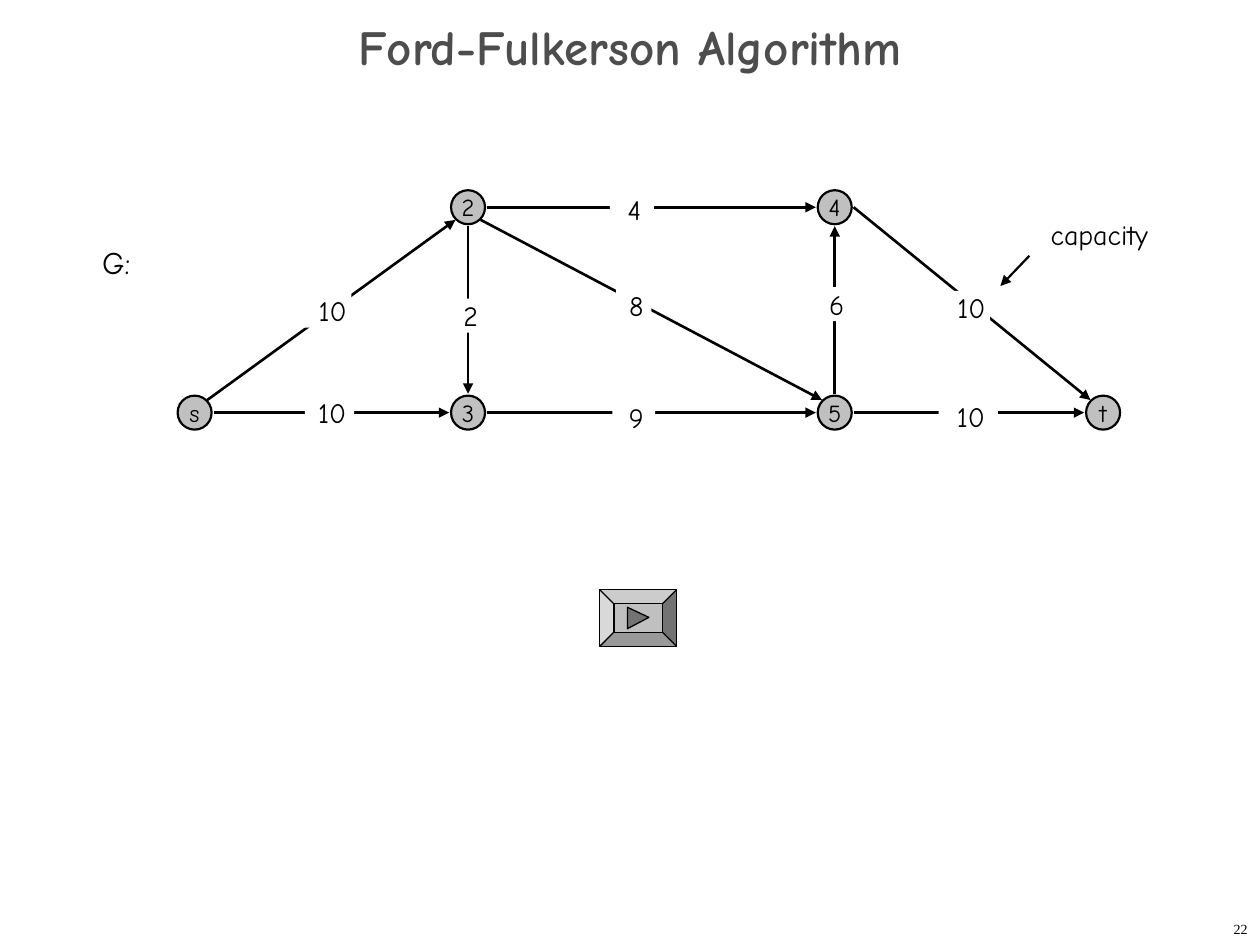
from dataclasses import dataclass
from typing import NamedTuple

from lxml.etree import SubElement
from pptx import Presentation
from pptx.dml.color import RGBColor
from pptx.enum.shapes import MSO_CONNECTOR, MSO_SHAPE
from pptx.enum.text import MSO_ANCHOR, MSO_AUTO_SIZE, PP_ALIGN
from pptx.oxml.ns import qn
from pptx.util import Inches, Pt


@dataclass(frozen=True)
class Theme:
    """Colours, fonts and sizes of the slide."""
    ink: RGBColor = RGBColor(0, 0, 0)
    paper: RGBColor = RGBColor(255, 255, 255)
    heading: RGBColor = RGBColor(0x4D, 0x4D, 0x4D)
    node: RGBColor = RGBColor(0xC0, 0xC0, 0xC0)
    symbol: RGBColor = RGBColor(0x73, 0x73, 0x73)
    hand: str = "Comic Neue"
    serif: str = "Times New Roman"
    title_size: float = 28
    graph_size: float = 18
    label_size: float = 16
    node_size: float = 14
    number_size: float = 8
    edge_width: float = 1.5
    outline_width: float = 1.25
    button_width: float = 0.75


class Node(NamedTuple):
    name: str
    left: float
    top: float


class Port(NamedTuple):
    """Offset from a node's centre where an edge attaches."""
    dx: float
    dy: float


class Edge(NamedTuple):
    source: str
    exit: Port
    target: str
    entry: Port


class Label(NamedTuple):
    text: str
    left: float
    top: float
    width: float
    indent: float = 0.04


THEME = Theme()
DIAMETER = 0.27
LABEL_HEIGHT = 0.27
REACH, DIAGONAL = 0.15, 0.1
EAST, WEST = Port(REACH, 0), Port(-REACH, 0)
NORTH, SOUTH = Port(0, -REACH), Port(0, REACH)
NORTHEAST, SOUTHEAST = Port(DIAGONAL, -DIAGONAL), Port(DIAGONAL, DIAGONAL)
NORTHWEST, SOUTHWEST = Port(-DIAGONAL, -DIAGONAL), Port(-DIAGONAL, DIAGONAL)
UPPER, LOWER = 1.51, 3.14

NODES = [
    Node("s", 1.41, LOWER),
    Node("2", 3.58, UPPER),
    Node("3", 3.58, LOWER),
    Node("4", 6.49, UPPER),
    Node("5", 6.49, LOWER),
    Node("t", 8.62, LOWER),
]
EDGES = [
    Edge("s", NORTHEAST, "2", SOUTHWEST),
    Edge("s", EAST, "3", WEST),
    Edge("3", EAST, "5", WEST),
    Edge("2", EAST, "4", WEST),
    Edge("2", SOUTH, "3", NORTH),
    Edge("5", NORTH, "4", SOUTH),
    Edge("2", SOUTHEAST, "5", NORTHWEST),
    Edge("4", EAST, "t", NORTHWEST),
    Edge("5", EAST, "t", WEST),
]
CAPACITIES = [
    Label("10", 2.42, 3.14, 0.39),
    Label("10", 2.33, 2.33, 0.46, 0.16),
    Label("9", 4.86, 3.18, 0.34),
    Label("8", 4.89, 2.29, 0.28),
    Label("4", 4.84, 1.53, 0.35),
    Label("10", 7.45, 3.17, 0.47),
    Label("10", 7.4, 2.31, 0.46, 0.16),
    Label("6", 6.39, 2.28, 0.46),
    Label("2", 3.48, 2.37, 0.47),
]


def write(frame, text: str, size: float, font: str = THEME.hand,
          align: PP_ALIGN = PP_ALIGN.CENTER, color: RGBColor = THEME.ink,
          bold: bool = False) -> None:
    """Add one formatted run to the first paragraph of a frame."""
    paragraph = frame.paragraphs[0]
    paragraph.alignment = align
    run = paragraph.add_run()
    run.text = text
    run.font.name, run.font.size, run.font.bold = font, Pt(size), bold
    run.font.color.rgb = color


def add_solid(slide, kind: MSO_SHAPE, left: float, top: float, width: float,
              height: float, fill: RGBColor, outline: float = 0):
    """Draw a filled preset shape, outlined when a width is given."""
    solid = slide.shapes.add_shape(
        kind, Inches(left), Inches(top), Inches(width), Inches(height))
    solid.shadow.inherit = False
    paint(solid, fill, outline)
    return solid


def paint(solid, fill: RGBColor, outline: float) -> None:
    """Set the fill and outline of a shape."""
    solid.fill.solid()
    solid.fill.fore_color.rgb = fill
    if outline:
        solid.line.color.rgb = THEME.ink
        solid.line.width = Pt(outline)
    else:
        solid.line.fill.background()


def add_arrow(slide, x1: float, y1: float, x2: float, y2: float, width: float) -> None:
    """Draw a straight arrow between two points."""
    arrow = slide.shapes.add_connector(
        MSO_CONNECTOR.STRAIGHT, Inches(x1), Inches(y1), Inches(x2), Inches(y2))
    arrow.line.color.rgb = THEME.ink
    arrow.line.width = Pt(width)
    SubElement(arrow.line._get_or_add_ln(), qn("a:tailEnd"), type="triangle")
    SubElement(arrow._element.spPr, qn("a:effectLst"))


def add_node(slide, node: Node) -> None:
    """Draw a named vertex of the graph."""
    circle = add_solid(slide, MSO_SHAPE.OVAL, node.left, node.top, DIAMETER,
                       DIAMETER, THEME.node, THEME.outline_width)
    circle.text_frame.word_wrap = False
    write(circle.text_frame, node.name, THEME.node_size)


def add_edge(slide, edge: Edge, centres: dict[str, tuple[float, float]]) -> None:
    """Draw a directed edge between the ports of two nodes."""
    (x1, y1), (x2, y2) = centres[edge.source], centres[edge.target]
    add_arrow(slide, x1 + edge.exit.dx, y1 + edge.exit.dy,
              x2 + edge.entry.dx, y2 + edge.entry.dy, THEME.edge_width)


def add_label(slide, label: Label, height: float = LABEL_HEIGHT,
              size: float = THEME.label_size, align: PP_ALIGN = PP_ALIGN.CENTER) -> None:
    """Write a label on a patch that interrupts the edge below it."""
    patch = add_solid(slide, MSO_SHAPE.RECTANGLE, label.left, label.top,
                      label.width, height, THEME.paper)
    frame = patch.text_frame
    frame.margin_left = Inches(label.indent)
    frame.margin_right = frame.margin_top = frame.margin_bottom = 0
    frame.vertical_anchor = MSO_ANCHOR.TOP
    frame.word_wrap = True
    frame.auto_size = MSO_AUTO_SIZE.SHAPE_TO_FIT_TEXT
    write(frame, label.text, size, align=align)


def add_note(slide, left: float, top: float, width: float, height: float):
    """Add a wrapping text box and return its frame."""
    note = slide.shapes.add_textbox(
        Inches(left), Inches(top), Inches(width), Inches(height))
    note.text_frame.word_wrap = True
    return note.text_frame


def add_play_button(slide) -> None:
    """Draw a bevelled button with a forward symbol."""
    bevel = add_solid(slide, MSO_SHAPE.BEVEL, 4.76, 4.68, 0.61, 0.45,
                      THEME.node, THEME.button_width)
    bevel.adjustments[0] = 0.25
    outline = slide.shapes.build_freeform(Inches(4.98), Inches(4.82))
    outline.add_line_segments([(Inches(5.15), Inches(4.9)), (Inches(4.98), Inches(4.99))])
    forward = outline.convert_to_shape()
    forward.shadow.inherit = False
    paint(forward, THEME.symbol, THEME.button_width)


def main() -> None:
    """Build the slide and save it."""
    deck = Presentation()
    deck.slide_width, deck.slide_height = Inches(10), Inches(7.5)
    slide = deck.slides.add_slide(deck.slide_layouts[5])

    title = slide.shapes.title
    title.left, title.top = Inches(0), Inches(0.17)
    title.width, title.height = Inches(10), Inches(0.5)
    title.text_frame.vertical_anchor = MSO_ANCHOR.MIDDLE
    title.text_frame.auto_size = MSO_AUTO_SIZE.NONE
    title.text_frame.paragraphs[0].line_spacing = 0.7
    write(title.text_frame, "Ford-Fulkerson Algorithm", THEME.title_size,
          color=THEME.heading, bold=True)

    radius = DIAMETER / 2
    centres = {node.name: (node.left + radius, node.top + radius) for node in NODES}
    for node in NODES:
        add_node(slide, node)
    for edge in EDGES:
        add_edge(slide, edge, centres)
    for capacity in CAPACITIES:
        add_label(slide, capacity)

    add_label(slide, Label("G:", 0.74, 1.93, 0.48, 0.07), 0.3, THEME.graph_size, PP_ALIGN.LEFT)
    write(add_note(slide, 8.11, 1.68, 1.23, 0.37), "capacity", THEME.label_size)
    add_arrow(slide, 8.17, 2.03, 7.94, 2.27, THEME.outline_width)
    add_play_button(slide)

    page = add_note(slide, 7.92, 7.25, 2.08, 0.25)
    page.vertical_anchor = MSO_ANCHOR.MIDDLE
    write(page, "22", THEME.number_size, THEME.serif, PP_ALIGN.RIGHT)
    deck.save("out.pptx")


if __name__ == "__main__":
    main()
